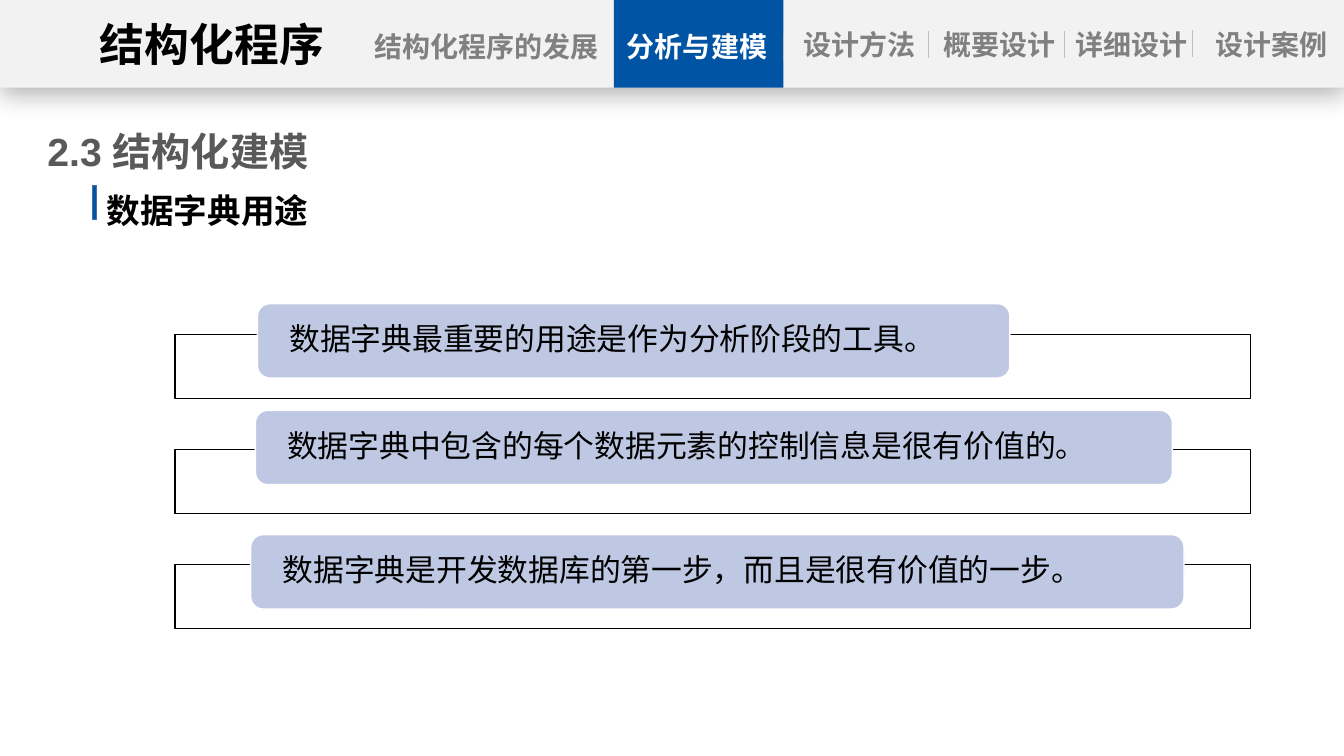
"""Builds the slide on the uses of a data dictionary."""
from lxml import etree
from pptx import Presentation
from pptx.dml.color import RGBColor
from pptx.enum import shapes, text
from pptx.oxml import parse_xml
from pptx.oxml.ns import qn
from pptx.util import Pt

HEX = {"ink": "000000", "white": "FFFFFF", "band": "F2F2F2", "blue": "0054A3",
       "edge": "476FAA", "bar": "BFC8E3", "grey": "808080", "dark": "595959",
       "rule": "BFBFBF"}

WIDE, HIGH, HEAD = 960, 540, 62.64
TITLE = ("2.3 结构化建模", (33.84, 87.1, 204, 41))
SUB = ("数据字典用途", (69.1, 131.8, 399, 36))
NAME = ("结构化程序", (65.5, 8.6, 172, 46))
TABS = [("结构化程序的发展", 262.1, 17.3, 170.6, "grey"),
        ("分析与建模", 445, 17.3, 105.8, "white"),
        ("设计方法", 560.9, 15.8, 105.8, "grey"),
        ("概要设计", 661, 15.8, 105.8, "grey"),
        ("详细设计", 753.8, 16.2, 109.4, "grey"),
        ("设计案例", 855.4, 15.8, 105.8, "grey")]
RULES = [(559.4, 24.5), (663.1, 22.3), (760.3, 22.3), (851.8, 21.6)]
USES = [("数据字典最重要的用途是作为分析阶段的工具。", 183.9, 216.9, 537.5),
        ("数据字典中包含的每个数据元素的控制信息是很有价值的。", 182.4, 293.1, 655),
        ("数据字典是开发数据库的第一步，而且是很有价值的一步。", 179.1, 381.9, 666.7)]
FRAME, STEP = (125, 239, 768.4, 45.5), 82.15
SHADE = ('<a:effectLst xmlns:a="http://schemas.openxmlformats.org/drawingml/2006/main">'
         '<a:outerShdw blurRad="228600" dist="50800" dir="5400000" algn="t" rotWithShape="0">'
         '<a:srgbClr val="000000"><a:alpha val="29000"/></a:srgbClr>'
         '</a:outerShdw></a:effectLst>')

deck = Presentation()
deck.slide_width, deck.slide_height = Pt(WIDE), Pt(HIGH)
slide = deck.slides.add_slide(deck.slide_layouts[5])
ALIGN, ANCHOR, KIND = text.PP_ALIGN, text.MSO_ANCHOR, shapes.MSO_SHAPE


def paint(name):
    return RGBColor.from_string(HEX[name])


def write(shape, words, size, tint, bold=True, align=ALIGN.LEFT, side=0, edge=3.6,
          anchor=ANCHOR.TOP, pitch=1.0):
    frame = shape.text_frame
    form = {"word_wrap": True, "auto_size": text.MSO_AUTO_SIZE.NONE,
            "vertical_anchor": anchor, "margin_left": Pt(side),
            "margin_right": Pt(side), "margin_top": Pt(edge), "margin_bottom": Pt(edge)}
    for key, val in form.items():
        setattr(frame, key, val)
    frame.text = words
    para = frame.paragraphs[0]
    para.alignment, para.line_spacing = align, pitch
    font = para.runs[0].font
    for key, val in {"name": "Arial", "size": Pt(size), "bold": bold}.items():
        setattr(font, key, val)
    font.color.rgb = paint(tint)


def label(words, box, *args, **form):
    write(slide.shapes.add_textbox(*map(Pt, box)), words, *args, **form)


def block(kind, box, fill, line=None):
    shape = slide.shapes.add_shape(kind, *map(Pt, box))
    shape.shadow.inherit = False
    shape.fill.solid()
    shape.fill.fore_color.rgb = paint(fill)
    if line:
        shape.line.color.rgb = paint(line)
        shape.line.width = Pt(1)
    else:
        shape.line.fill.background()
    return shape


def main():
    title = slide.shapes.title
    for key, val in zip(("left", "top", "width", "height"), TITLE[1]):
        setattr(title, key, Pt(val))
    write(title, TITLE[0], 28, "dark")
    block(KIND.RECTANGLE, (66.2, 132.5, 2.9, 24.5), "blue", "edge")
    label(*SUB, 24, "ink", side=7.2)

    left, top, width, height = FRAME
    for row, (words, x, y, span) in enumerate(USES):
        block(KIND.RECTANGLE, (left, top + row * STEP, width, height), "white", "ink")
        bar = block(KIND.ROUNDED_RECTANGLE, (x, y, span, 53.1), "bar", "white")
        write(bar, words, 22, "ink", bold=False, side=20.2, edge=0,
              anchor=ANCHOR.MIDDLE, pitch=0.9)

    band = block(KIND.RECTANGLE, (0, 0, WIDE, HEAD), "band")
    props = band._element.spPr
    props.replace(props.find(qn("a:effectLst")), parse_xml(SHADE))
    block(KIND.RECTANGLE, (438.5, 0, 121, HEAD), "blue")
    label(*NAME, 32, "ink", align=ALIGN.CENTER)
    for words, x, y, span, tint in TABS:
        label(words, (x, y, span, 31.7), 20, tint, align=ALIGN.CENTER)
    for x, y in RULES:
        rule = slide.shapes.add_connector(shapes.MSO_CONNECTOR.STRAIGHT,
                                          Pt(x), Pt(y), Pt(x), Pt(y + 19.2))
        rule.line.color.rgb = paint("rule")
        rule.line.width = Pt(0.5)
        etree.SubElement(rule._element.spPr, qn("a:effectLst"))
    deck.save("out.pptx")


if __name__ == "__main__":
    main()
